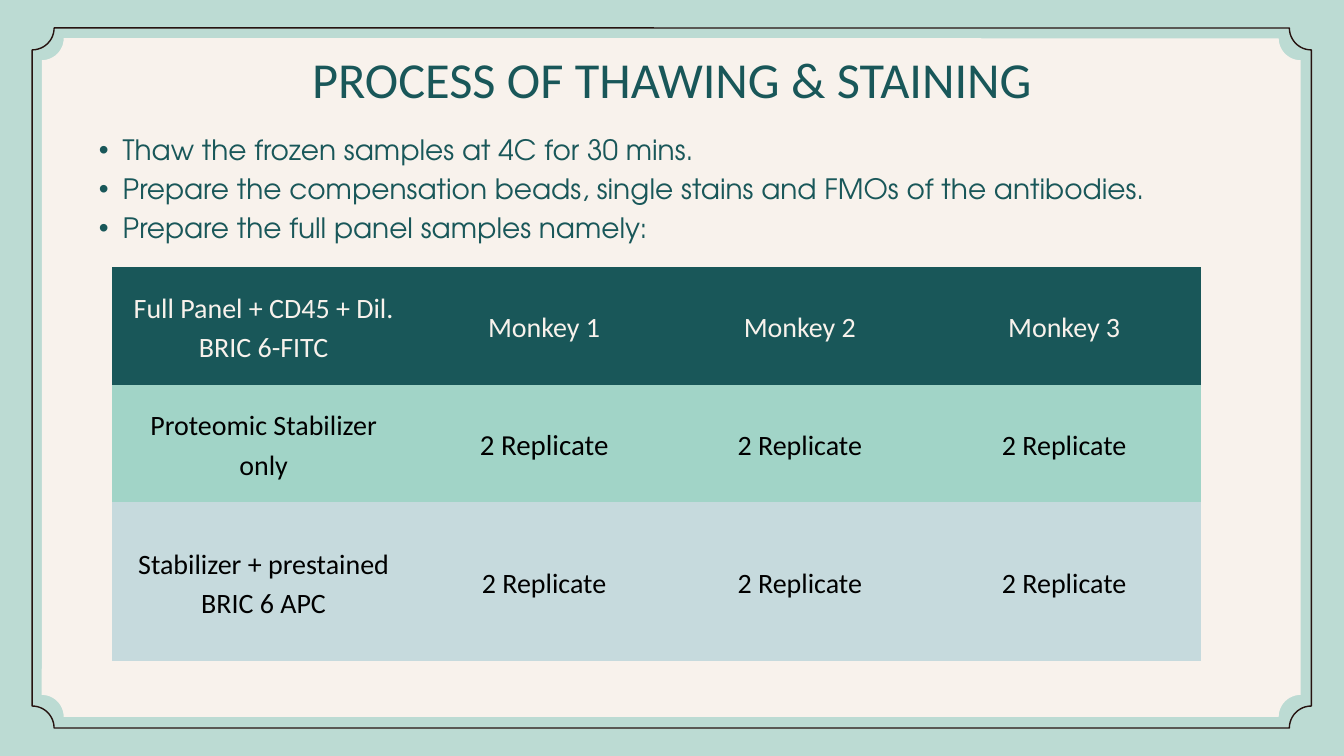
import pptx
import pptx.util
import pptx.dml.color
import pptx.enum.shapes
import pptx.enum.text
import pptx.oxml.ns
import lxml.etree

Pt = pptx.util.Pt
RGB = pptx.dml.color.RGBColor
ALIGN = pptx.enum.text.PP_ALIGN
qn = pptx.oxml.ns.qn

MINT = RGB(0xBC, 0xDB, 0xD3)
CREAM = RGB(0xF8, 0xF2, 0xEC)
BROWN = RGB(0x26, 0x13, 0x10)
TEAL = RGB(0x19, 0x57, 0x59)
GREEN = RGB(0xA1, 0xD4, 0xC7)
GREY = RGB(0xC6, 0xDA, 0xDD)
BLACK = RGB(0, 0, 0)

HEAD = "Calibri"
BODY = "TeX Gyre Adventor"


class Deck:
    notch = 23.5   # radius of the cut corners
    inset = 15     # cell margin
    lead = 1.4     # line height per point of text size

    def __init__(self, wide, high, back):
        self.prs = pptx.Presentation()
        self.prs.slide_width, self.prs.slide_height = Pt(wide), Pt(high)
        self.slide = self.prs.slides.add_slide(self.prs.slide_layouts[6])
        fill = self.slide.background.fill
        fill.solid()
        fill.fore_color.rgb = back

    def plaque(self, x, y, w, h, fill=None, line=None):
        kind = pptx.enum.shapes.MSO_SHAPE.PLAQUE
        shape = self.slide.shapes.add_shape(kind, Pt(x), Pt(y), Pt(w), Pt(h))
        shape.shadow.inherit = False
        shape.adjustments[0] = self.notch / min(w, h)
        if fill is None:
            shape.fill.background()
        else:
            shape.fill.solid()
            shape.fill.fore_color.rgb = fill
        if line is None:
            shape.line.fill.background()
        else:
            shape.line.color.rgb = line
            shape.line.width = Pt(1.5)

    def line(self, para, text, font, size, color, align):
        para.alignment = align
        para.line_spacing = Pt(size * self.lead)
        run = para.add_run()
        run.text = text
        run.font.name = font
        run.font.size = Pt(size)
        run.font.color.rgb = color

    def bullet(self, para):
        para.level = 1
        props = para._p.get_or_add_pPr()
        props.set("marL", str(Pt(51)))
        props.set("indent", str(-Pt(25.5)))
        lxml.etree.SubElement(props, qn("a:buFont")).set("typeface", "Arial")
        lxml.etree.SubElement(props, qn("a:buChar")).set("char", "•")

    def text(self, x, y, w, h, lines, font, size, color, align, dots=False):
        box = self.slide.shapes.add_textbox(Pt(x), Pt(y), Pt(w), Pt(h))
        frame = box.text_frame
        frame.word_wrap = True
        frame.auto_size = pptx.enum.text.MSO_AUTO_SIZE.SHAPE_TO_FIT_TEXT
        frame.margin_left = frame.margin_right = 0
        frame.margin_top = frame.margin_bottom = 0
        for i, text in enumerate(lines):
            para = frame.add_paragraph() if i else frame.paragraphs[0]
            if dots:
                self.bullet(para)
            self.line(para, text, font, size, color, align)

    def cell(self, cell, text, size, fill, color):
        cell.fill.solid()
        cell.fill.fore_color.rgb = fill
        cell.vertical_anchor = pptx.enum.text.MSO_ANCHOR.MIDDLE
        cell.margin_left = cell.margin_right = Pt(self.inset)
        cell.margin_top = cell.margin_bottom = Pt(self.inset)
        props = cell._tc.get_or_add_tcPr()
        for i, side in enumerate(("lnL", "lnR", "lnT", "lnB")):
            edge = lxml.etree.Element(qn("a:" + side), w="0")
            lxml.etree.SubElement(edge, qn("a:noFill"))
            props.insert(i, edge)
        para = cell.text_frame.paragraphs[0]
        self.line(para, text, HEAD, size, color, ALIGN.CENTER)

    def table(self, x, y, cols, rows, data, looks, sizes):
        grid = self.slide.shapes.add_table(
            len(rows), len(cols), Pt(x), Pt(y), Pt(sum(cols)), Pt(sum(rows))
        ).table
        for col, wide in zip(grid.columns, cols):
            col.width = Pt(wide)
        for r, high in enumerate(rows):
            grid.rows[r].height = Pt(high)
            for c, text in enumerate(data[r]):
                size = sizes.get((r, c), 30)
                self.cell(grid.cell(r, c), text, size, *looks[r])


def main():
    deck = Deck(1440, 810, MINT)

    # Frame and panel
    deck.plaque(34.5, 30, 1370.5, 750, line=BROWN)
    deck.plaque(44.75, 41, 1348.75, 727, fill=CREAM)

    # Samples table
    data = [
        ["Full Panel + CD45 + Dil. BRIC 6-FITC"]
        + [f"Monkey {n}" for n in (1, 2, 3)],
        ["Proteomic Stabilizer only"] + ["2 Replicate"] * 3,
        ["Stabilizer + prestained BRIC 6 APC"] + ["2 Replicate"] * 3,
    ]
    looks = [(TEAL, CREAM), (GREEN, BLACK), (GREY, BLACK)]
    deck.table(119.5, 286, [326, 275, 273, 293.5], [126, 126, 170.5],
               data, looks, {(1, 1): 31})

    # Title
    deck.text(251, 40.5, 938, 73, ["PROCESS OF THAWING & STAINING"],
              HEAD, 54, TEAL, ALIGN.CENTER)

    # Steps
    steps = [
        "Thaw the frozen samples at 4C for 30 mins.",
        "Prepare the compensation beads, single stains and FMOs "
        "of the antibodies.",
        "Prepare the full panel samples namely:",
    ]
    deck.text(80.5, 136, 1245, 122.5, steps, BODY, 30, TEAL, ALIGN.LEFT,
              dots=True)

    deck.prs.save("out.pptx")


if __name__ == "__main__":
    main()
